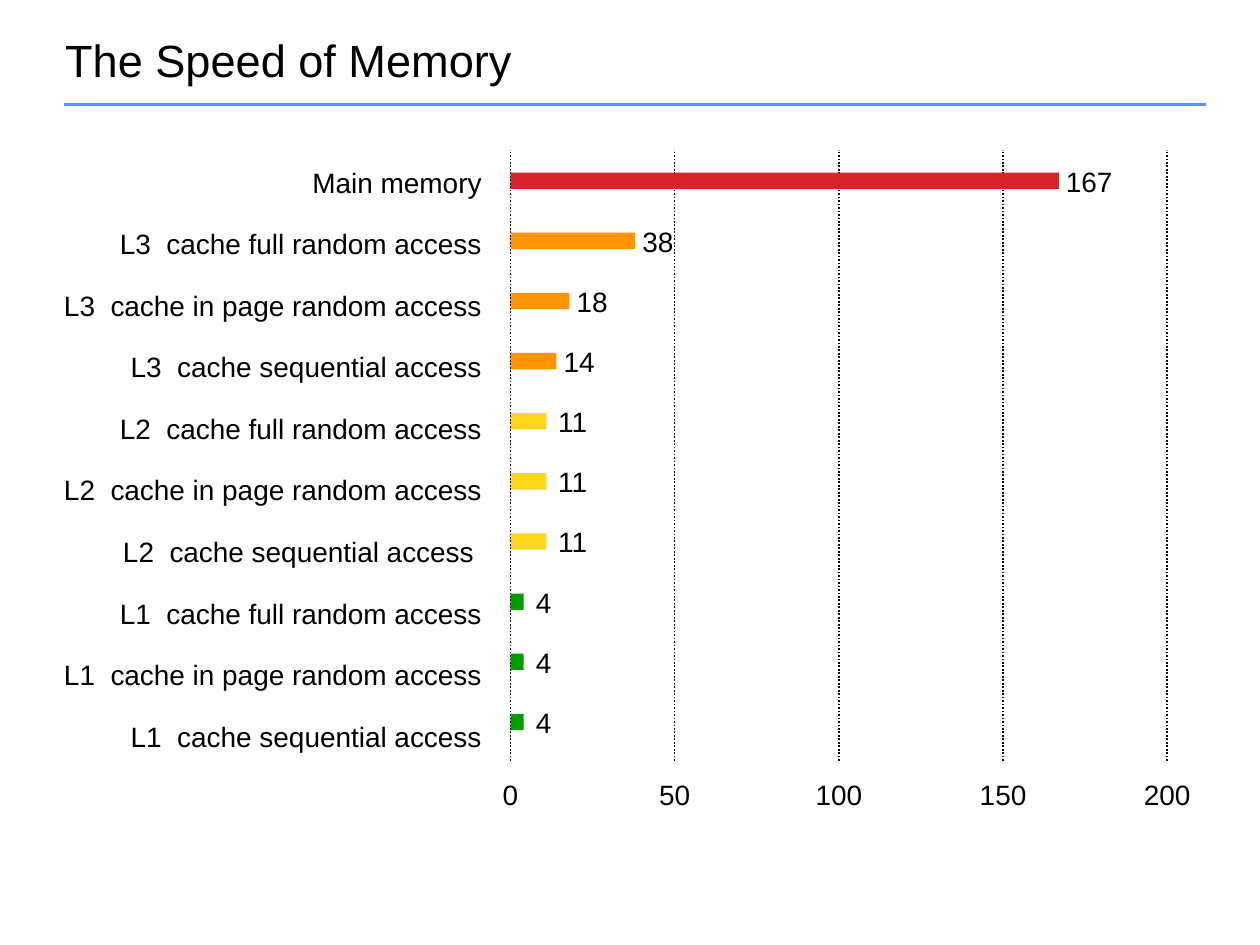
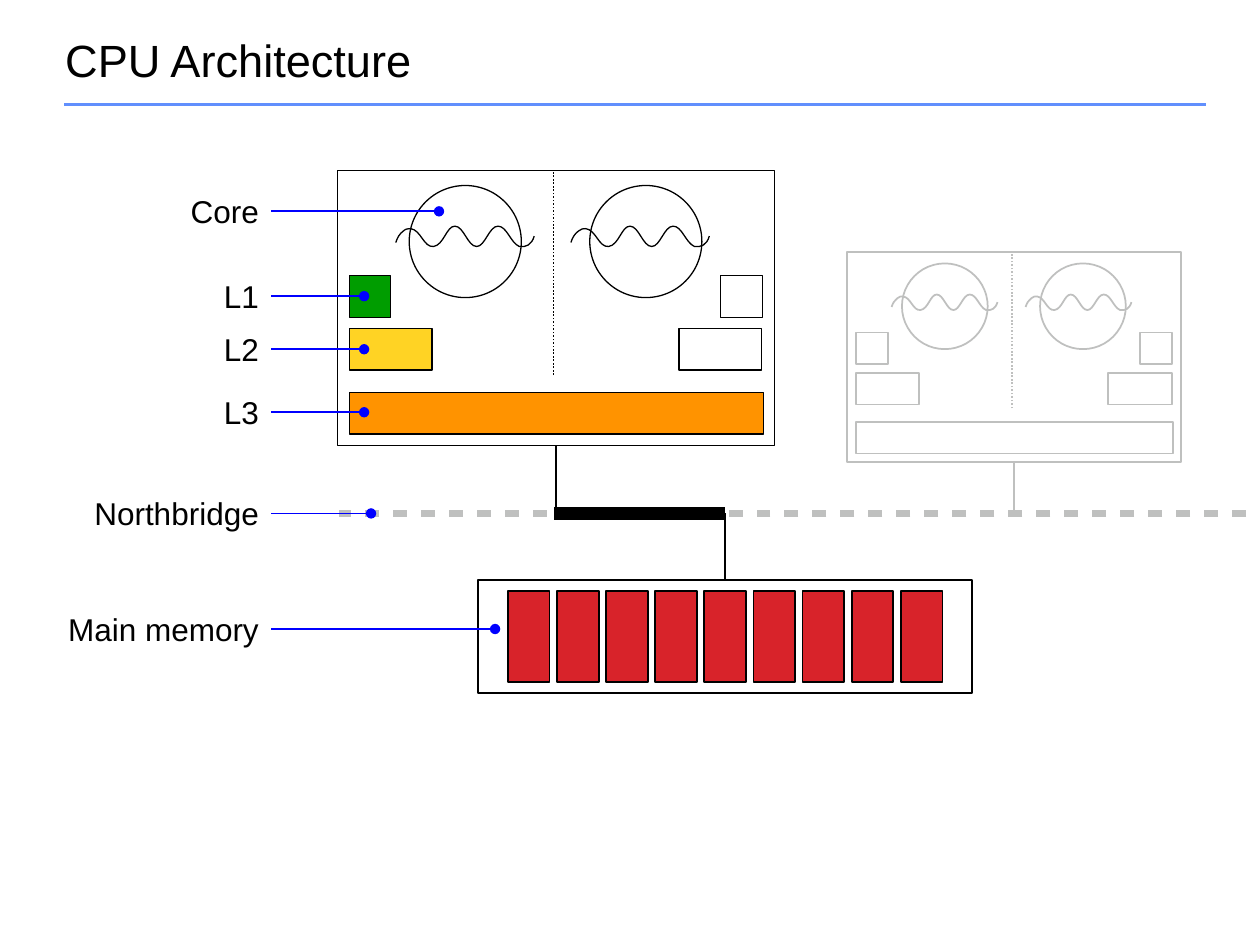
import lxml.etree
import pptx
import pptx.dml.color
import pptx.enum.dml
import pptx.enum.shapes
import pptx.enum.text
import pptx.oxml.ns
import pptx.util

Cm, Pt = pptx.util.Cm, pptx.util.Pt
qn = pptx.oxml.ns.qn
Kind = pptx.enum.shapes.MSO_SHAPE
Align = pptx.enum.text.PP_ALIGN
Anchor = pptx.enum.text.MSO_ANCHOR
Fit = pptx.enum.text.MSO_AUTO_SIZE

FONT = "Arial"
COLORS = {
    "ink": "000000", "rule": "618FFD", "red": "D8232A", "orange": "FF9300",
    "yellow": "FFD41D", "gold": "FFD324", "green": "009D00",
    "grey": "BFC0BF", "blue": "0000FF",
}

# label, value, colour, gap between bar and number (cm)
SPEEDS = [
    ("Main memory", 167, "red", 0.04),
    ("L3  cache full random access", 38, "orange", 0.05),
    ("L3  cache in page random access", 18, "orange", 0.05),
    ("L3  cache sequential access", 14, "orange", 0.05),
    ("L2  cache full random access", 11, "yellow", 0.1),
    ("L2  cache in page random access", 11, "yellow", 0.1),
    ("L2  cache sequential access ", 11, "yellow", 0.1),
    ("L1  cache full random access", 4, "green", 0.16),
    ("L1  cache in page random access", 4, "green", 0.16),
    ("L1  cache sequential access", 4, "green", 0.16),
]
TICKS = range(0, 201, 50)

# label, text width, height of the line, tip of the line (cm)
CALLS = [
    ("Core", 2.29, 4.26, 8.85),
    ("L1", 1.32, 5.97, 7.34),
    ("L2", 1.32, 7.04, 7.34),
    ("L3", 1.32, 8.31, 7.34),
    ("Main memory", 3.96, 12.68, 9.98),
    ("Northbridge", 3.96, 10.35, 7.48),
]

# parts of a processor: shape, left, top, width, height, fill
CPU_SIZE = (8.8, 5.54)
CPU_PARTS = [
    (Kind.RECTANGLE, 0.23, 4.47, 8.36, 0.84, "orange"),
    (Kind.RECTANGLE, 0.23, 3.18, 1.67, 0.84, "gold"),
    (Kind.RECTANGLE, 0.23, 2.12, 0.84, 0.84, "green"),
    (Kind.RECTANGLE, 6.88, 3.18, 1.67, 0.84, None),
    (Kind.RECTANGLE, 7.72, 2.12, 0.84, 0.84, None),
    (Kind.OVAL, 1.44, 0.3, 2.26, 2.26, None),
    (Kind.OVAL, 5.08, 0.3, 2.26, 2.26, None),
]
WAVES = [(1.17, 1.12), (4.7, 1.12)]
# start, then two handles and an end for each curve
WAVE = [
    (0, 0.33),
    (0.03, 0.23), (0.08, 0.15), (0.15, 0.1),
    (0.2, 0.05), (0.25, 0.05), (0.3, 0.05),
    (0.51, 0.08), (0.56, 0.43), (0.76, 0.41),
    (0.97, 0.38), (1.02, 0), (1.19, 0),
    (1.37, 0), (1.45, 0.41), (1.63, 0.41),
    (1.8, 0.41), (1.88, 0), (2.06, 0),
    (2.24, 0), (2.31, 0.33), (2.49, 0.41),
    (2.62, 0.43), (2.74, 0.38), (2.79, 0.2),
]
SPLIT_X, SPLIT_END = 4.35, 4.12
BUS_Y = 10.35
CHIPS = 9


def rgb(name):
    return pptx.dml.color.RGBColor.from_string(COLORS[name])


def paint(shape, fill=None, line=None, width=1):
    shape.shadow.inherit = False
    if fill:
        shape.fill.solid()
        shape.fill.fore_color.rgb = rgb(fill)
    else:
        shape.fill.background()
    if line:
        shape.line.color.rgb = rgb(line)
        shape.line.width = Pt(width)
    else:
        shape.line.fill.background()


def block(shapes, kind, box, fill=None, line=None, width=1):
    shape = shapes.add_shape(kind, *map(Cm, box))
    paint(shape, fill, line, width)
    return shape


def wire(shapes, start, end, color="ink", width=1, dots=False):
    link = shapes.add_connector(pptx.enum.shapes.MSO_CONNECTOR.STRAIGHT,
                                *map(Cm, start + end))
    link.line.color.rgb = rgb(color)
    link.line.width = Pt(width)
    if dots:
        link.line.dash_style = pptx.enum.dml.MSO_LINE.ROUND_DOT
    lxml.etree.SubElement(link.element.spPr, qn("a:effectLst"))
    return link


def tweak(link, tag, **attrs):
    """Append an element to the outline of a connector."""
    outline = link.element.spPr.find(qn("a:ln"))
    return lxml.etree.SubElement(outline, qn(tag), attrs)


def write(par, text, size):
    run = par.add_run()
    run.text = text
    run.font.name = FONT
    run.font.size = Pt(size)
    run.font.color.rgb = rgb("ink")


def label(slide, box, lines, size, align, before=0, wrap=False):
    frame = slide.shapes.add_textbox(*map(Cm, box)).text_frame
    frame.word_wrap = wrap
    frame.auto_size = Fit.NONE if wrap else Fit.SHAPE_TO_FIT_TEXT
    frame.vertical_anchor = Anchor.MIDDLE if wrap else Anchor.TOP
    frame.margin_left = frame.margin_right = Cm(0.05)
    frame.margin_top = frame.margin_bottom = Cm(0.05)
    for i, text in enumerate(lines):
        par = frame.add_paragraph() if i else frame.paragraphs[0]
        par.alignment = align
        par.space_before = Pt(before)
        write(par, text, size)


def add_page(deck, text):
    slide = deck.slides.add_slide(deck.slide_layouts[5])
    title = slide.shapes.title
    title.left, title.top, title.width, title.height = map(
        Cm, (1.06, 0.64, 23.29, 1.27))
    frame = title.text_frame
    frame.auto_size = Fit.NONE
    frame.vertical_anchor = Anchor.MIDDLE
    par = frame.paragraphs[0]
    par.alignment = Align.LEFT
    par.line_spacing = 0.9
    write(par, text, 25.8)
    return slide


def add_rule(deck, slide):
    """Draw the line under the title and hand it to the shared layout."""
    rule = wire(slide.shapes, (1.3, 2.11), (24.31, 2.11), "rule", 2)
    deck.slide_layouts[5].shapes.element.append(rule.element)


def draw_speeds(slide):
    zero, unit = 10.29, 0.0662
    top, pitch = 3.48, 10.91 / (len(SPEEDS) - 1)

    def digits(value):
        return 0.13 + 0.32 * len(str(value))

    def number(value, left, y, align):
        box = (left, y, digits(value), 0.71)
        label(slide, box, [str(value)], 16, align, 11)

    def grid(tick):
        x = zero + tick * unit
        wire(slide.shapes, (x, 15.34), (x, 3.02), dots=True)

    for tick in TICKS[1:]:
        grid(tick)
    label(slide, (1.02, 3.28, 8.74, 11.61), [row[0] for row in SPEEDS],
          16, Align.RIGHT, 16)
    for i, (_, value, color, gap) in enumerate(SPEEDS):
        y, size = top + i * pitch, value * unit
        block(slide.shapes, Kind.RECTANGLE, (zero, y, size, 0.33), color)
        number(value, zero + size + gap, y - 0.22, Align.RIGHT)
    for tick in TICKS:
        left = zero + tick * unit - digits(tick) / 2
        number(tick, left, 15.62, Align.CENTER)
    grid(TICKS[0])


def draw_wave(shapes, left, top, scale, color, width):
    points = [(Cm(left + x * scale), Cm(top + y * scale)) for x, y in WAVE]
    pen = shapes.build_freeform(*points[0])
    pen.add_line_segments(points[1:], close=False)
    shape = pen.convert_to_shape()
    paint(shape, line=color, width=width)
    steps = list(shape.element.iter(qn("a:lnTo")))
    for i in range(0, len(steps), 3):
        first, *rest = steps[i:i + 3]
        curve = lxml.etree.Element(qn("a:cubicBezTo"))
        first.addprevious(curve)
        for step in (first, *rest):
            curve.append(step[0])
            step.getparent().remove(step)


def draw_cpu(shapes, left, top, scale, color, width, filled):
    def place(x, y):
        return left + x * scale, top + y * scale

    wide, high = CPU_SIZE
    case = block(shapes, Kind.RECTANGLE,
                 (left, top, wide * scale, high * scale), None, color, width)
    foot = place(wide / 2, high)
    stem = wire(shapes, foot, (foot[0], BUS_Y), color, width)
    stem.begin_connect(case, 2)
    for kind, x, y, w, h, fill in CPU_PARTS:
        block(shapes, kind, place(x, y) + (w * scale, h * scale),
              fill if filled else None, color, width)
    for spot in WAVES:
        draw_wave(shapes, *place(*spot), scale, color, width)
    wire(shapes, place(SPLIT_X, SPLIT_END), place(SPLIT_X, 0), color, 1, True)


def draw_memory(shapes):
    left, top, wide, high = 9.63, 11.69, 9.96, 2.28
    case = block(shapes, Kind.RECTANGLE, (left, top, wide, high), None, "ink")
    for i in range(CHIPS):
        block(shapes, Kind.RECTANGLE,
              (left + 0.61 + i * 0.99, top + 0.22, 0.84, 1.84), "red", "ink")
    mid = left + wide / 2
    stem = wire(shapes, (mid, top), (mid, BUS_Y))
    stem.begin_connect(case, 0)
    wire(shapes, (mid, BUS_Y), (11.17, BUS_Y), width=7)


def draw_parts(slide):
    shapes = slide.shapes
    bus = wire(shapes, (25.12, BUS_Y), (6.83, BUS_Y), "grey", 4)
    dash = tweak(bus, "a:custDash")
    lxml.etree.SubElement(dash, qn("a:ds"), d="200000", sp="200000")
    draw_memory(shapes)
    spare = shapes.add_group_shape().shapes
    draw_cpu(spare, 17.08, 5.08, 0.765, "grey", 1, False)
    for text, wide, y, _ in CALLS:
        label(slide, (5.27 - wide, y - 0.56, wide, 1.1), [text], 18,
              Align.RIGHT, wrap=True)
    draw_cpu(shapes, 6.81, 3.44, 1, "ink", 0.75, True)
    for _, _, y, tip in CALLS:
        line = wire(shapes, (tip, y), (5.46, y), "blue")
        tweak(line, "a:headEnd", type="oval")


def main():
    deck = pptx.Presentation()
    deck.slide_width, deck.slide_height = Cm(25.4), Cm(19.05)
    speeds = add_page(deck, "The Speed of Memory")
    add_rule(deck, speeds)
    draw_speeds(speeds)
    draw_parts(add_page(deck, "CPU Architecture"))
    deck.save("out.pptx")


if __name__ == "__main__":
    main()
